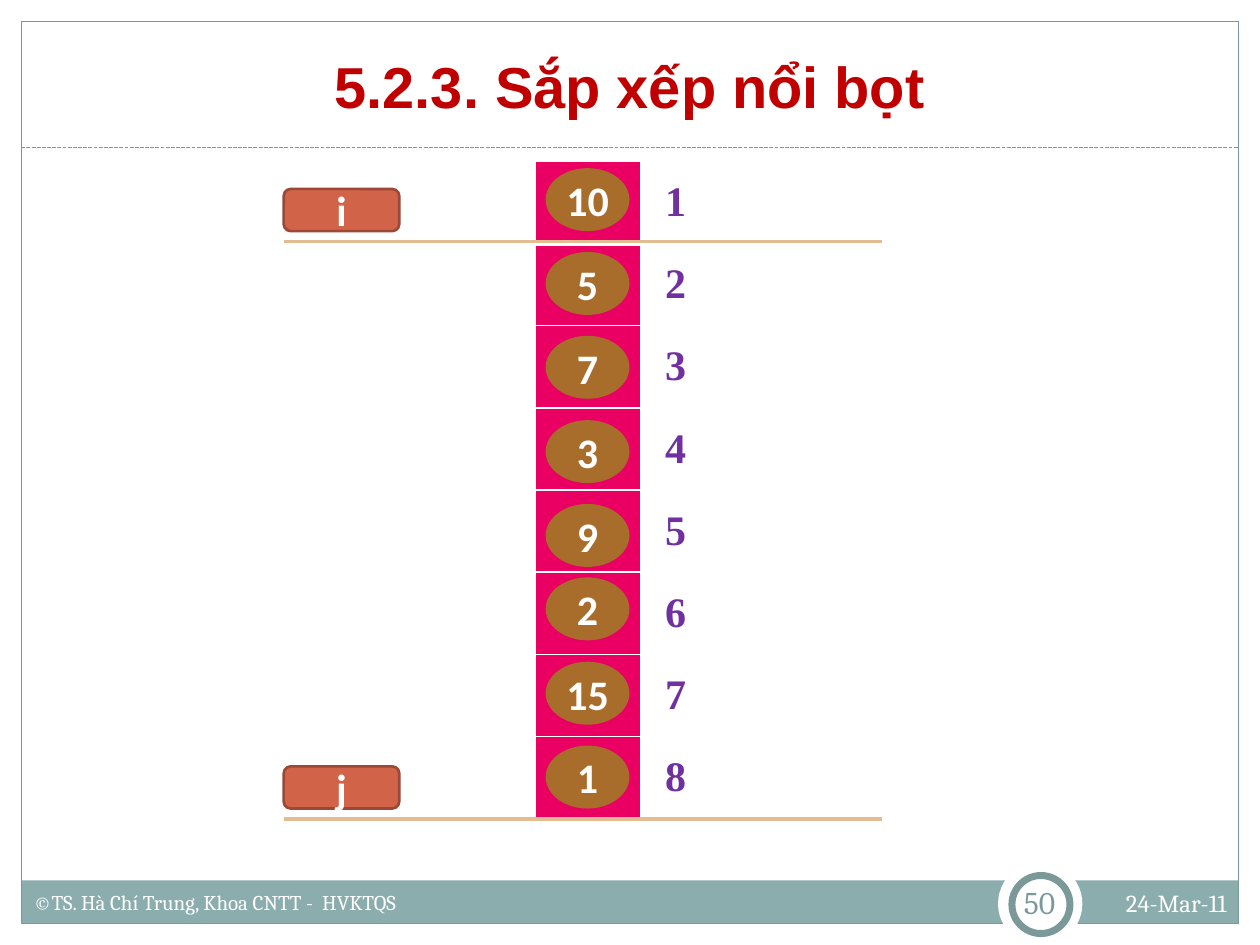
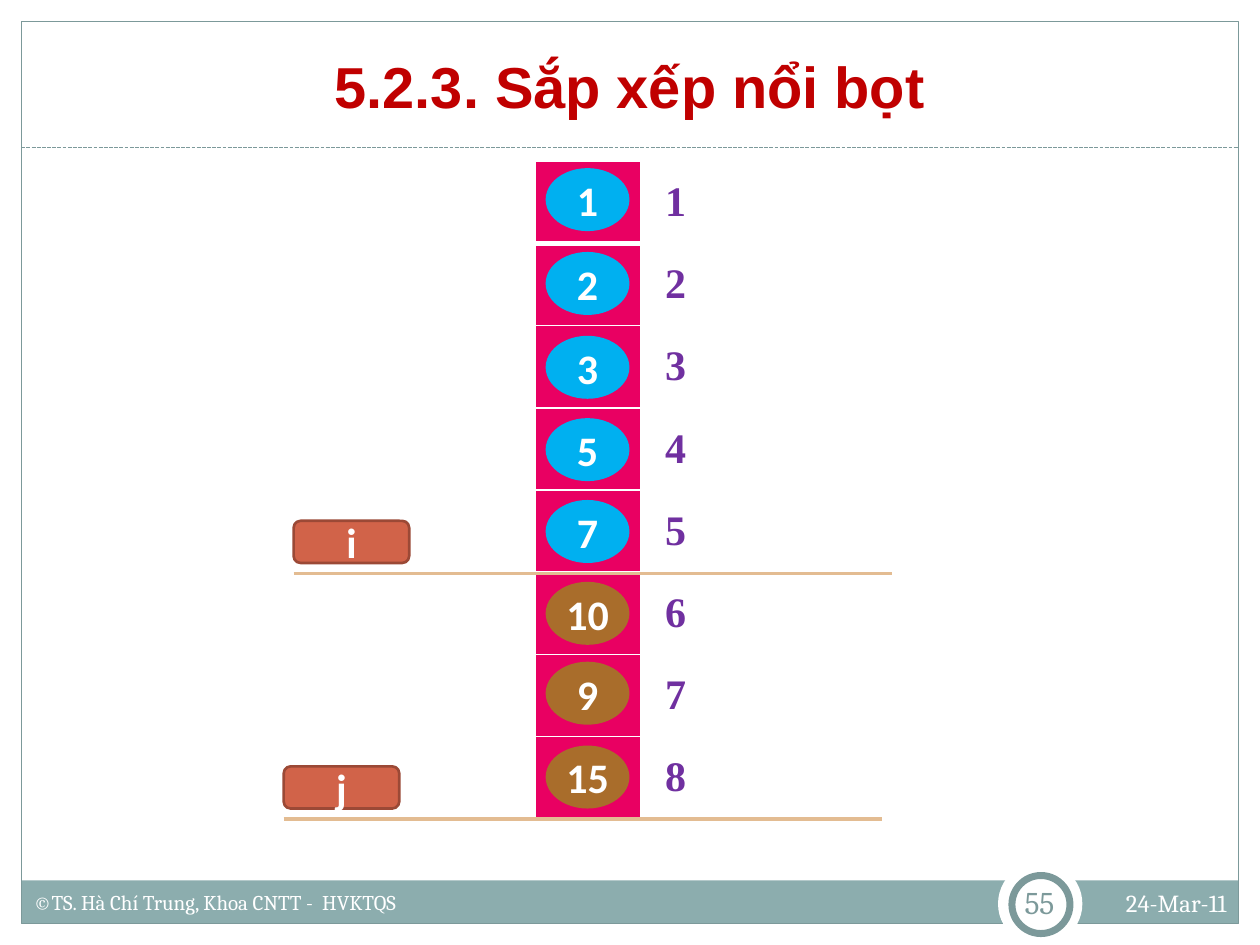
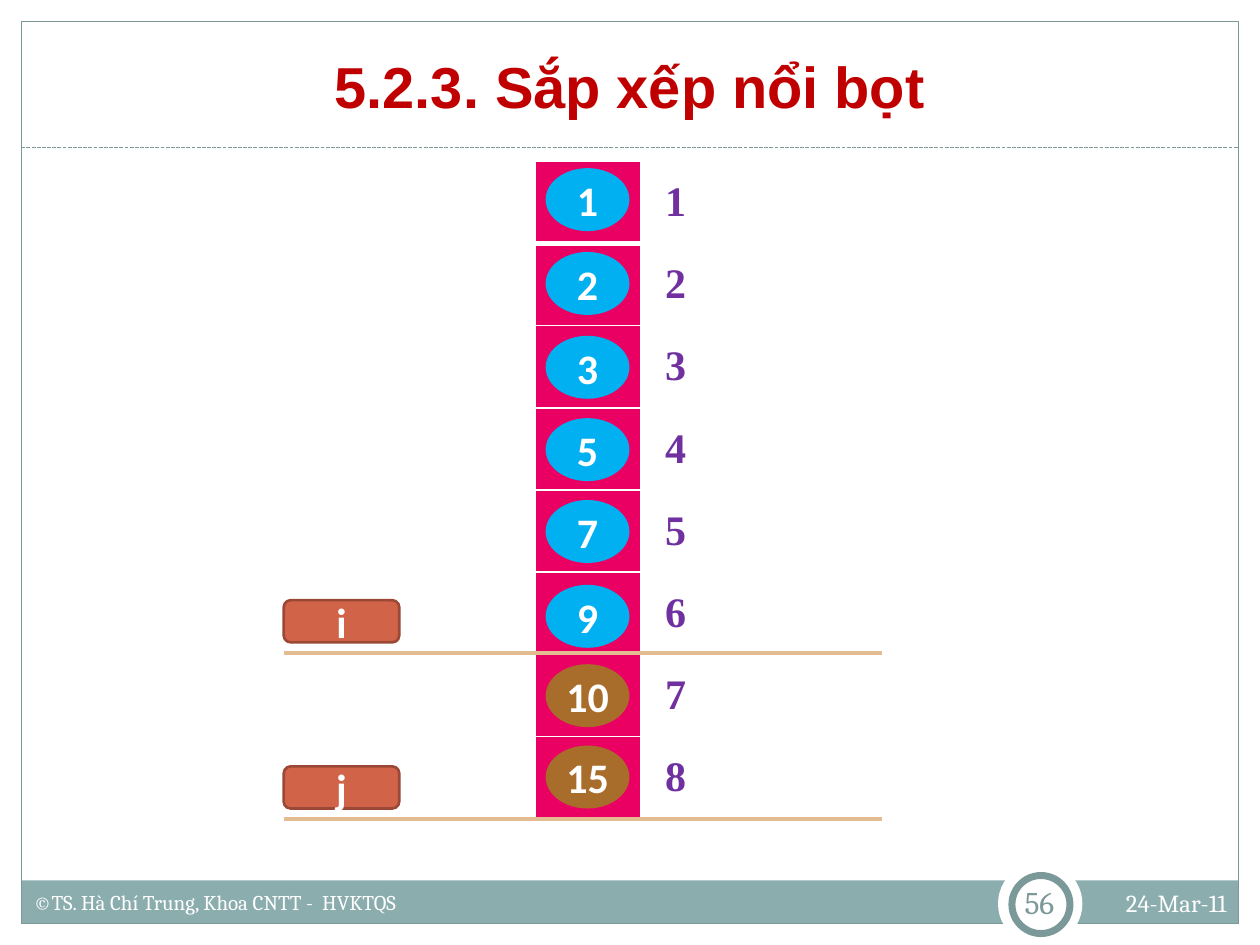
from lxml import etree
from pptx import Presentation
from pptx.dml.color import RGBColor
from pptx.enum.dml import MSO_LINE
from pptx.enum.shapes import MSO_CONNECTOR, MSO_SHAPE
from pptx.enum.text import MSO_ANCHOR, MSO_AUTO_SIZE, PP_ALIGN
from pptx.oxml import parse_xml
from pptx.oxml.ns import nsdecls, qn
from pptx.util import Cm, Pt

WHITE = RGBColor(0xFF, 0xFF, 0xFF)
TEAL = RGBColor(0x7C, 0x99, 0x9A)
BAND = RGBColor(0x8C, 0xAD, 0xAE)
TITLE_RED = RGBColor(0xC0, 0x00, 0x00)
CELL_PINK = RGBColor(0xE9, 0x00, 0x62)
INDEX_PURPLE = RGBColor(0x70, 0x30, 0xA0)
UNSORTED = RGBColor(0xA9, 0x6D, 0x2B)
SORTED = RGBColor(0x00, 0xB0, 0xF0)
MARKER = RGBColor(0xD1, 0x63, 0x49)
MARKER_EDGE = RGBColor(0x9B, 0x49, 0x36)
MARKER_RULE = RGBColor(0xE3, 0xBC, 0x92)

RECT, OVAL, ROUNDED = MSO_SHAPE.RECTANGLE, MSO_SHAPE.OVAL, MSO_SHAPE.ROUNDED_RECTANGLE
STRAIGHT = MSO_CONNECTOR.STRAIGHT
SYS_DASH = MSO_LINE.SQUARE_DOT
LEFT, CENTER, RIGHT = PP_ALIGN.LEFT, PP_ALIGN.CENTER, PP_ALIGN.RIGHT
TOP, MIDDLE, BOTTOM = MSO_ANCHOR.TOP, MSO_ANCHOR.MIDDLE, MSO_ANCHOR.BOTTOM
NO_FIT = MSO_AUTO_SIZE.NONE

TITLE_ONLY = 5
WIDTH, HEIGHT = 25.4, 19.05
EDGE = 0.43
TITLE = "5.2.3. Sắp xếp nổi bọt"
AUTHOR = "©TS. Hà Chí Trung, Khoa CNTT -  HVKTQS"
DATE = "24-Mar-11"
MARKER_LEFT = 5.72
ARRAY_BOTTOM = 16.51

# page number, values, disc tops, count of sorted values, left and height of the i rule
STEPS = [
    (50, [10, 5, 7, 3, 9, 2, 15, 1],
     [3.39, 5.08, 6.77, 8.47, 10.16, 11.64, 13.34, 15.03], 0, MARKER_LEFT, 4.87),
    (55, [1, 2, 3, 5, 7, 10, 9, 15],
     [3.39, 5.08, 6.77, 8.43, 10.08, 11.73, 13.34, 15.03], 5, 5.92, 11.56),
    (56, [1, 2, 3, 5, 7, 9, 10, 15],
     [3.39, 5.08, 6.77, 8.43, 10.08, 11.79, 13.39, 15.03], 6, MARKER_LEFT, 13.16),
]


def write(frame, text, *, size=24, font="Calibri", color=WHITE, bold=False,
          align=CENTER, anchor=MIDDLE, inset=None):
    frame.word_wrap = True
    frame.auto_size = NO_FIT
    frame.vertical_anchor = anchor
    if inset is not None:
        frame.margin_left = frame.margin_right = Cm(inset)
        frame.margin_top = frame.margin_bottom = Cm(inset)
    paragraph = frame.paragraphs[0]
    paragraph.alignment = align
    run = paragraph.add_run()
    run.text = text
    run.font.size, run.font.name, run.font.bold = Pt(size), font, bold
    run.font.color.rgb = color


def set_borders(cell, top, bottom):
    """Give a cell white borders, with the top and bottom widths in points."""
    properties = cell._tc.get_or_add_tcPr()
    for place, (side, width) in enumerate(
            [("L", 1), ("R", 1), ("T", top), ("B", bottom)]):
        properties.insert(place, parse_xml(
            f'<a:ln{side} {nsdecls("a")} w="{Pt(width)}"><a:solidFill>'
            f'<a:srgbClr val="{WHITE}"/></a:solidFill></a:ln{side}>'))


class Deck:
    def __init__(self):
        self.prs = Presentation()
        self.prs.slide_width, self.prs.slide_height = Cm(WIDTH), Cm(HEIGHT)
        self.layout = self.prs.slide_layouts[TITLE_ONLY]
        self.slide = None

    def new_slide(self, page):
        first = self.slide is None
        self.slide = self.prs.slides.add_slide(self.layout)
        if first:
            self.frame()
        title = self.slide.shapes.title
        title.left, title.top = Cm(0.85), Cm(0.64)
        title.width, title.height = Cm(23.7), Cm(1.9)
        write(title.text_frame, TITLE, size=33, font="Arial", color=TITLE_RED,
              bold=True, anchor=BOTTOM)
        footer = {"font": "Cambria", "anchor": TOP}
        self.text(21.38, 17.78, 3.6, 0.85, DATE, size=14, align=RIGHT, **footer)
        self.text(EDGE, 17.8, 15.24, 0.79, AUTHOR, size=12, align=LEFT, **footer)
        self.text(20.32, 17.58, 1.27, 1.22, str(page), size=18, font="Cambria",
                  color=TEAL, inset=0.13)

    def frame(self):
        """Draw the bands and border once and move them to the layout."""
        inner = WIDTH - 2 * EDGE
        parts = [
            self.shape(RECT, 0, 0, WIDTH, 3.28, WHITE),
            self.shape(RECT, 0, 0, EDGE, HEIGHT, WHITE),
            self.shape(RECT, WIDTH - EDGE, 0, EDGE, HEIGHT, WHITE),
            self.shape(RECT, EDGE, 17.75, inner, 0.87, BAND),
            self.shape(RECT, EDGE, EDGE, inner, HEIGHT - 2 * EDGE, None, TEAL, 0.75),
            self.rule(EDGE, 2.97, inner, TEAL, 0.75, dash=SYS_DASH),
            self.shape(OVAL, 20.12, 17.37, 1.7, 1.7, WHITE),
            self.shape(OVAL, 20.4, 17.65, 1.17, 1.17, WHITE, TEAL, 4),
        ]
        for place, part in enumerate(parts, start=2):
            self.layout.shapes.element.insert(place, part.element)

    def shape(self, preset, left, top, width, height, fill, edge=None,
              edge_width=1.0, parent=None):
        shapes = (parent or self.slide).shapes
        shape = shapes.add_shape(preset, Cm(left), Cm(top), Cm(width), Cm(height))
        shape.shadow.inherit = False
        if fill is None:
            shape.fill.background()
        else:
            shape.fill.solid()
            shape.fill.fore_color.rgb = fill
        if edge is None:
            shape.line.fill.background()
        else:
            shape.line.color.rgb = edge
            shape.line.width = Pt(edge_width)
        return shape

    def rule(self, left, y, length, color, width, dash=None, parent=None):
        shapes = (parent or self.slide).shapes
        rule = shapes.add_connector(STRAIGHT, Cm(left), Cm(y), Cm(left + length), Cm(y))
        rule.line.color.rgb = color
        rule.line.width = Pt(width)
        if dash is not None:
            rule.line.dash_style = dash
        etree.SubElement(rule.element.spPr, qn("a:effectLst"))
        return rule

    def text(self, left, top, width, height, text, **style):
        box = self.slide.shapes.add_textbox(Cm(left), Cm(top), Cm(width), Cm(height))
        write(box.text_frame, text, **style)

    def array(self, count):
        """Draw the column of cells with its index numbers."""
        column_widths = (2.12, 1.4)
        row_height = 13.26 / count
        table = self.slide.shapes.add_table(
            count, 2, Cm(10.8), Cm(3.25), Cm(sum(column_widths)),
            Cm(row_height * count)).table
        table.first_row = table.horz_banding = False
        for column, width in zip(table.columns, column_widths):
            column.width = Cm(width)
        for index, row in enumerate(table.rows):
            row.height = Cm(row_height)
            slot, label = row.cells
            slot.fill.solid()
            slot.fill.fore_color.rgb = CELL_PINK
            label.fill.background()
            label.vertical_anchor = MIDDLE
            paragraph = label.text_frame.paragraphs[0]
            paragraph.alignment = CENTER
            run = paragraph.add_run()
            run.text = str(index + 1)
            run.font.size, run.font.name = Pt(24), "Times New Roman"
            run.font.bold = True
            run.font.color.rgb = INDEX_PURPLE
            for cell in (slot, label):
                set_borders(cell, top=3 if index == 1 else 1,
                            bottom=3 if index == 0 else 1)

    def disc(self, value, top, color):
        disc = self.shape(OVAL, 11, top, 1.69, 1.27, color)
        write(disc.text_frame, str(value), bold=True, inset=0)

    def marker(self, name, left, y):
        """Draw a labelled tag standing on a rule across the array."""
        group = self.slide.shapes.add_group_shape()
        self.rule(left, y, 12.07, MARKER_RULE, 2, parent=group)
        tag = self.shape(ROUNDED, left, y - 1.06, 2.33, 0.85, MARKER, MARKER_EDGE,
                         1.5, parent=group)
        write(tag.text_frame, name, bold=True, inset=0)


def main():
    deck = Deck()
    for page, values, tops, sorted_count, i_left, i_y in STEPS:
        deck.new_slide(page)
        deck.array(len(values))
        for index, (value, top) in enumerate(zip(values, tops)):
            deck.disc(value, top, SORTED if index < sorted_count else UNSORTED)
        deck.marker("i", i_left, i_y)
        deck.marker("j", MARKER_LEFT, ARRAY_BOTTOM)
    deck.prs.save("out.pptx")


if __name__ == "__main__":
    main()
